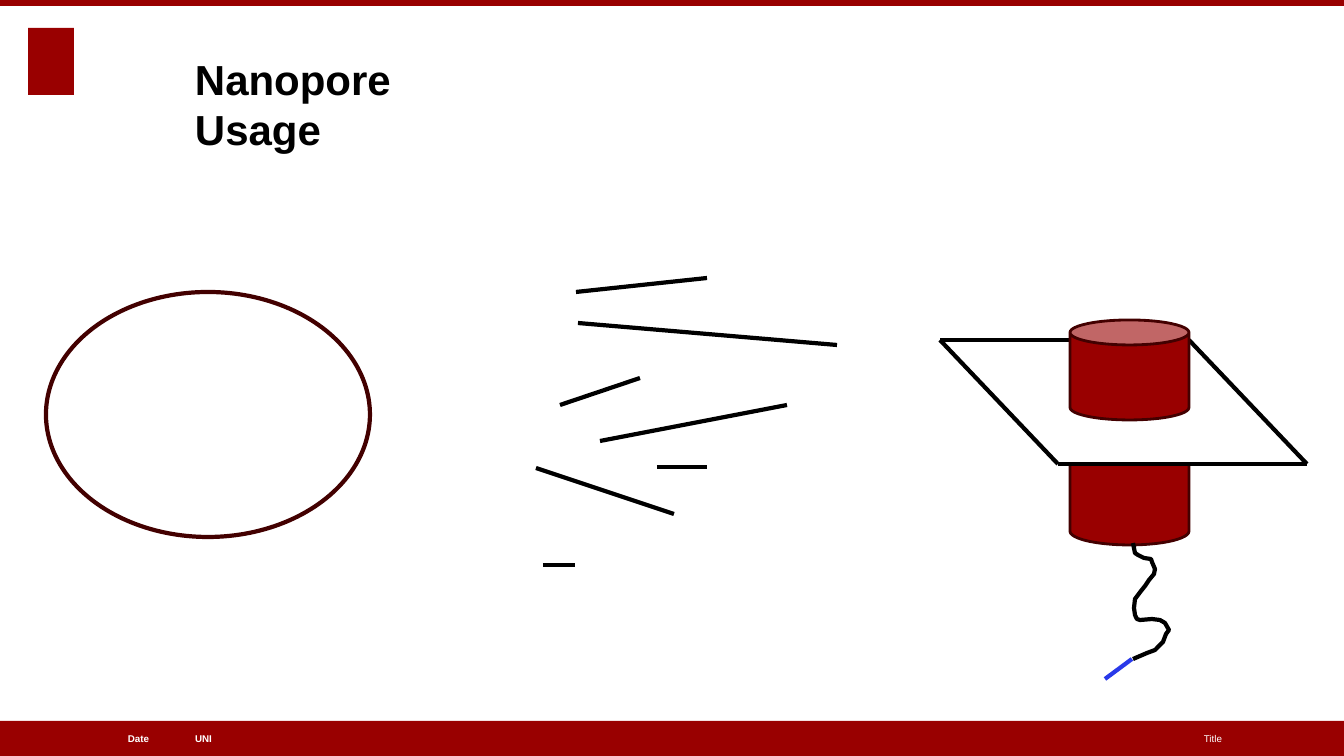
from lxml import etree
from pptx import Presentation
from pptx.dml.color import RGBColor
from pptx.enum.shapes import MSO_CONNECTOR, MSO_SHAPE
from pptx.enum.text import MSO_ANCHOR, PP_ALIGN
from pptx.oxml.ns import qn
from pptx.util import Pt

STRAIGHT = MSO_CONNECTOR.STRAIGHT
RECTANGLE, OVAL, CAN = MSO_SHAPE.RECTANGLE, MSO_SHAPE.OVAL, MSO_SHAPE.CAN
MIDDLE, BOTTOM = MSO_ANCHOR.MIDDLE, MSO_ANCHOR.BOTTOM
LEFT, RIGHT = PP_ALIGN.LEFT, PP_ALIGN.RIGHT

RED = RGBColor(0x99, 0x00, 0x00)
DARK_RED = RGBColor(0x43, 0x00, 0x00)
BLUE = RGBColor(0x29, 0x39, 0xE9)
BLACK = RGBColor(0x00, 0x00, 0x00)
WHITE = RGBColor(0xFF, 0xFF, 0xFF)

WIDTH, HEIGHT = 1344, 756
EMU_PER_PX = 12192000 / WIDTH
FOOTER_TOP, FOOTER_HEIGHT = 721, 35
TEXT_LEFT = 195

FRAGMENTS = [
    ((578, 323), (837, 345)),
    ((560, 405), (640, 378)),
    ((576, 292), (707, 278)),
    ((536, 468), (674, 514)),
    ((600, 441), (787, 405)),
    ((543, 565), (575, 565)),
    ((657, 467), (707, 467)),
]
MEMBRANE = [(940, 340), (1058, 464), (1307, 464), (1189, 340)]
STRAND = [
    (1133, 659), (1147, 653), (1155, 650), (1163, 642), (1166, 634),
    (1169, 630), (1165, 623), (1160, 620), (1152, 619), (1140, 620),
    (1137, 619), (1135, 615), (1134, 608), (1135, 599), (1141, 591),
    (1145, 586), (1149, 580), (1154, 574), (1155, 569), (1152, 562),
    (1151, 559), (1144, 558), (1138, 555), (1135, 553), (1133, 543),
]


def emu(px):
    """Turn px into EMU."""
    return round(px * EMU_PER_PX)


class Painter:
    """Draws styled elements on the current slide or group."""

    font = "Arial"
    stroke = 3

    def __init__(self, slide):
        self.slide = slide
        self.shapes = slide.shapes

    def start_group(self):
        self.shapes = self.slide.shapes.add_group_shape().shapes

    def end_group(self):
        self.shapes = self.slide.shapes

    def shape(self, kind, left, top, width, height, fill=None, line=None, weight=2):
        shape = self.shapes.add_shape(kind, *map(emu, (left, top, width, height)))
        shape.shadow.inherit = False
        if fill is None:
            shape.fill.background()
        else:
            shape.fill.solid()
            shape.fill.fore_color.rgb = fill
        if line is None:
            shape.line.fill.background()
        else:
            shape.line.color.rgb = line
            shape.line.width = Pt(weight)

    def line(self, start, end, color=BLACK):
        connector = self.shapes.add_connector(STRAIGHT, *map(emu, start + end))
        connector.line.color.rgb = color
        connector.line.width = Pt(self.stroke)
        etree.SubElement(connector._element.spPr, qn("a:effectLst"))

    def curve(self, points, color=BLACK):
        builder = self.shapes.build_freeform(*points[0], scale=EMU_PER_PX)
        builder.add_line_segments(points[1:], close=False)
        curve = builder.convert_to_shape()
        curve.shadow.inherit = False
        curve.fill.background()
        curve.line.color.rgb = color
        curve.line.width = Pt(self.stroke)

    def text(self, words, left, top, width, height, size, color,
             bold=True, align=LEFT, anchor=MIDDLE):
        box = self.shapes.add_textbox(*map(emu, (left, top, width, height)))
        frame = box.text_frame
        frame.word_wrap = True
        frame.vertical_anchor = anchor
        frame.margin_left = frame.margin_right = 0
        frame.margin_top = frame.margin_bottom = 0
        paragraph = frame.paragraphs[0]
        paragraph.text = words
        paragraph.alignment = align
        paragraph.font.name = self.font
        paragraph.font.size = Pt(size)
        paragraph.font.bold = bold
        paragraph.font.color.rgb = color


def main():
    deck = Presentation()
    deck.slide_width, deck.slide_height = emu(WIDTH), emu(HEIGHT)
    painter = Painter(deck.slides.add_slide(deck.slide_layouts[6]))

    painter.shape(RECTANGLE, 28, 28, 46, 67, RED)
    painter.shape(RECTANGLE, 0, FOOTER_TOP, WIDTH, FOOTER_HEIGHT, RED)
    for words, left, width, bold, align in [
        ("UNI", TEXT_LEFT, 375, True, LEFT),
        ("Date", 27, 122, True, RIGHT),
        ("Title", 616, 606, False, RIGHT),
    ]:
        painter.text(words, left, FOOTER_TOP, width, FOOTER_HEIGHT, 7, WHITE, bold, align)
    painter.shape(RECTANGLE, 0, 0, WIDTH, 6, RED)
    painter.text("Nanopore\vUsage", TEXT_LEFT, 47, 1026, 107, 30, BLACK, anchor=BOTTOM)

    painter.shape(OVAL, 46, 292, 324, 245, line=DARK_RED, weight=3)

    painter.start_group()
    for start, end in FRAGMENTS:
        painter.line(start, end)

    painter.start_group()
    painter.shape(CAN, 1070, 435, 119, 110, RED, DARK_RED)
    for start, end in zip(MEMBRANE, MEMBRANE[1:] + MEMBRANE[:1]):
        painter.line(start, end)
    painter.shape(CAN, 1070, 320, 119, 100, RED, DARK_RED)
    painter.end_group()

    painter.shape(RECTANGLE, 1064, 429, 146, 33, WHITE)
    painter.curve(STRAND)
    painter.line((1132, 659), (1105, 679), BLUE)
    deck.save("out.pptx")


if __name__ == "__main__":
    main()
